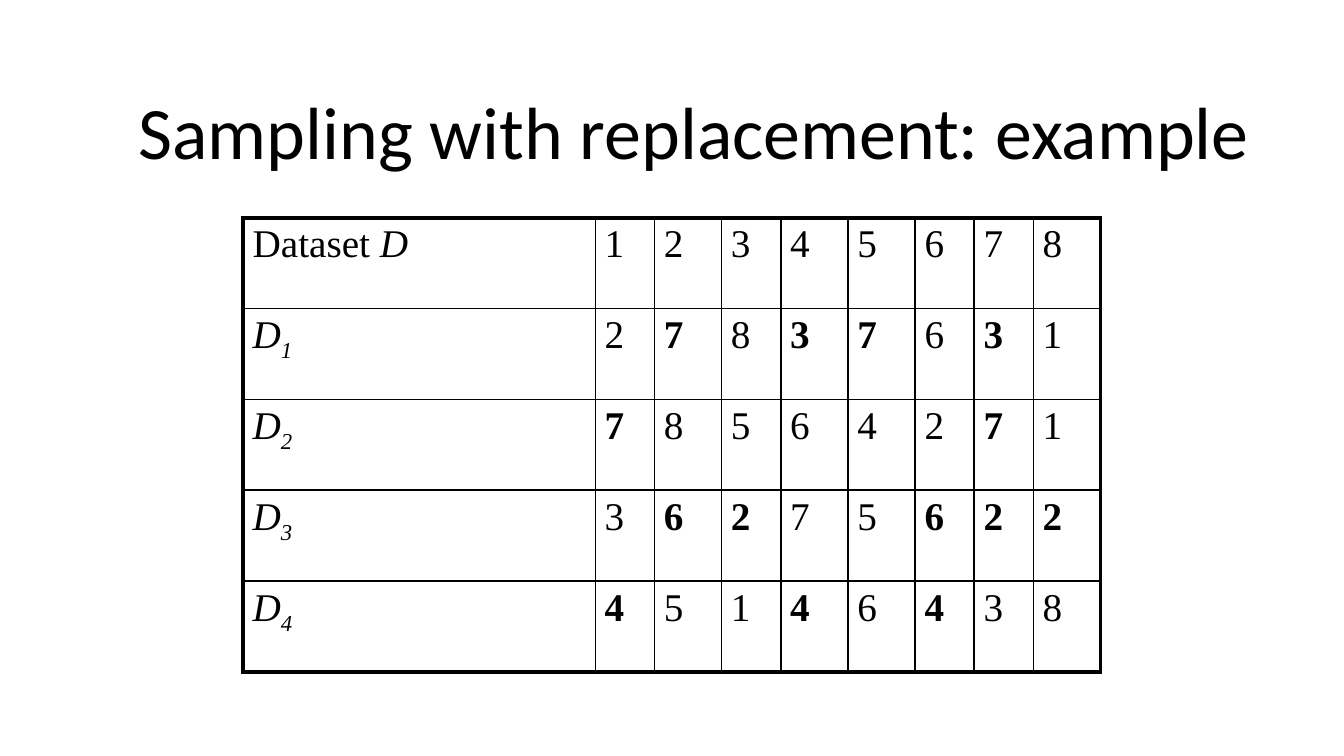
from lxml import etree
from pptx import Presentation
from pptx.dml.color import RGBColor
from pptx.enum.text import MSO_ANCHOR, PP_ALIGN
from pptx.oxml.ns import qn
from pptx.util import Inches, Pt

CENTER = PP_ALIGN.CENTER
MIDDLE = MSO_ANCHOR.MIDDLE
BLACK = "000000"
THIN, THICK = 1, 2.25

COLUMN_WIDTHS = [2.62, 0.44, 0.5, 0.44, 0.5, 0.5, 0.44, 0.44, 0.5]
TABLE_HEIGHT = 3.38
DATASET = [1, 2, 3, 4, 5, 6, 7, 8]
SAMPLES = [
    [2, 7, 8, 3, 7, 6, 3, 1],
    [7, 8, 5, 6, 4, 2, 7, 1],
    [3, 6, 2, 7, 5, 6, 2, 2],
    [4, 5, 1, 4, 6, 4, 3, 8],
]


def rgb(color):
    return RGBColor.from_string(color)


def add_run(p, text, font="Times New Roman", size=21, color=BLACK,
            bold=False, italic=False, baseline=None):
    """Append a run; baseline is a percentage, negative for a subscript."""
    r = p.add_run()
    r.text = text
    r.font.name = font
    r.font.size = Pt(size)
    r.font.bold = bold
    r.font.italic = italic
    r.font.color.rgb = rgb(color)
    if baseline is not None:
        r.font._element.set("baseline", str(baseline * 1000))


def set_borders(cell, widths, color=BLACK):
    """Draw the left, right, top and bottom borders, widths in points."""
    tc_pr = cell._tc.get_or_add_tcPr()
    for i, (side, width) in enumerate(zip("LRTB", widths)):
        ln = etree.Element(qn(f"a:ln{side}"), w=str(Pt(width)))
        fill = etree.SubElement(ln, qn("a:solidFill"))
        etree.SubElement(fill, qn("a:srgbClr"), val=color)
        tc_pr.insert(i, ln)


class SlideBuilder:
    def __init__(self, slide):
        self.slide = slide
        self.title_font = "Calibri"
        self.title_size = 39.6

    def title(self, text, left, top, width, height):
        sp = self.slide.shapes.add_textbox(
            Inches(left), Inches(top), Inches(width), Inches(height))
        tf = sp.text_frame
        tf.word_wrap = True
        tf.vertical_anchor = MIDDLE
        p = tf.paragraphs[0]
        p.alignment = CENTER
        add_run(p, text, font=self.title_font, size=self.title_size)

    def table(self, rows, left, top, widths, height):
        """Add a framed grid; each cell is a list of (text, format) runs."""
        last_row, last_col = len(rows) - 1, len(widths) - 1
        frame = self.slide.shapes.add_table(
            len(rows), len(widths), Inches(left), Inches(top),
            Inches(sum(widths)), Inches(height))
        table = frame.table
        table.first_row = table.horz_banding = False
        for column, width in zip(table.columns, widths):
            column.width = Inches(width)
        for i, row in enumerate(rows):
            for j, runs in enumerate(row):
                cell = table.cell(i, j)
                cell.fill.background()
                cell.margin_left = cell.margin_right = Inches(0.07)
                cell.margin_top = cell.margin_bottom = Inches(0.04)
                edges = (j == 0, j == last_col, i == 0, i == last_row)
                set_borders(cell, [THICK if edge else THIN for edge in edges])
                for text, style in runs:
                    add_run(cell.text_frame.paragraphs[0], text, **style)


def number_cells(values):
    """Numbers drawn more than once are bold."""
    return [[(str(v), {"bold": values.count(v) > 1})] for v in values]


def main():
    prs = Presentation()
    prs.slide_width = Inches(10)
    prs.slide_height = prs.slide_width * 9 // 16
    s = SlideBuilder(prs.slides.add_slide(prs.slide_layouts[6]))

    s.title("Sampling with replacement: example", 0.75, 0.5, 8.83, 0.94)

    italic = {"italic": True}
    rows = [[[("Dataset ", {}), ("D", italic)]] + number_cells(DATASET)]
    for n, sample in enumerate(SAMPLES, 1):
        label = [("D", italic), (str(n), {"italic": True, "baseline": -25})]
        rows.append([label] + number_cells(sample))
    s.table(rows, 1.81, 1.62, COLUMN_WIDTHS, TABLE_HEIGHT)

    prs.save("out.pptx")


if __name__ == "__main__":
    main()
